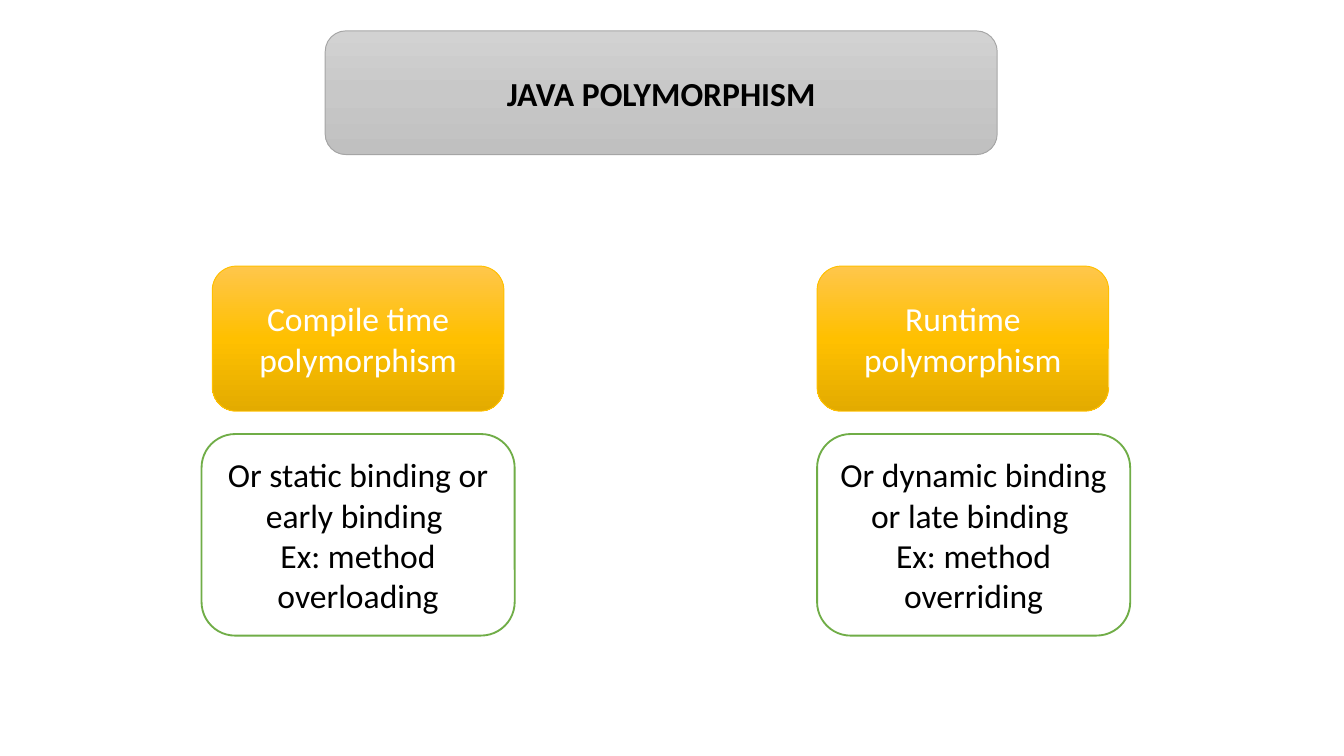
from copy import deepcopy

from pptx import Presentation
from pptx.dml.color import RGBColor
from pptx.enum import shapes, text
from pptx.oxml.ns import qn
from pptx.util import Inches, Pt

COLORS = {
    "black": "000000",
    "white": "FFFFFF",
    "gray": "A5A5A5",
    "gold": "FFC000",
    "green": "70AD47",
}
GRAY_GRADIENT = ["D2D2D2", "C8C8C8", "C0C0C0"]
GOLD_GRADIENT = ["FFC64B", "FFC000", "E3AB00"]

# Heading, heading left, details, details left
BRANCHES = [
    ("Compile time polymorphism", 1.58,
     ["Or static binding or early binding ", "Ex: method overloading"], 1.5),
    ("Runtime polymorphism", 6.08,
     ["Or dynamic binding or late binding ", "Ex: method overriding"], 6.08),
]


def rgb(name):
    return RGBColor.from_string(COLORS[name])


def fill_gradient(box, stops):
    """Fill from top to bottom with evenly spaced colour stops."""
    box.fill.gradient()
    box.fill.gradient_angle = 270
    stop_list = box._element.spPr.find(qn("a:gradFill")).find(qn("a:gsLst"))
    while len(stop_list) < len(stops):
        stop_list.append(deepcopy(stop_list[0]))
    for index, (stop, color) in enumerate(zip(box.fill.gradient_stops, stops)):
        stop.position = index / (len(stops) - 1)
        stop.color.rgb = RGBColor.from_string(color)


def add_box(page, bounds, lines, line_color, font_color, line_width=0.5,
            gradient=None, bold=False):
    """Add a rounded box, white unless a gradient is given."""
    box = page.shapes.add_shape(shapes.MSO_SHAPE.ROUNDED_RECTANGLE,
                                *map(Inches, bounds))
    box.shadow.inherit = False
    if gradient:
        fill_gradient(box, gradient)
    else:
        box.fill.solid()
        box.fill.fore_color.rgb = rgb("white")
    box.line.color.rgb = rgb(line_color)
    box.line.width = Pt(line_width)

    frame = box.text_frame
    frame.word_wrap = True
    frame.vertical_anchor = text.MSO_ANCHOR.MIDDLE
    frame.text = "\n".join(lines)
    for para in frame.paragraphs:
        para.alignment = text.PP_ALIGN.CENTER
        para.font.name = "Calibri"
        para.font.size = Pt(18)
        para.font.bold = bold
        para.font.color.rgb = rgb(font_color)


def main():
    deck = Presentation()
    deck.slide_width = Inches(10)
    deck.slide_height = Inches(10 * 9 / 16)
    page = deck.slides.add_slide(deck.slide_layouts[6])

    add_box(page, (2.42, 0.23, 5, 0.92), ["JAVA POLYMORPHISM"], "gray", "black",
            gradient=GRAY_GRADIENT, bold=True)
    for heading, heading_left, details, details_left in BRANCHES:
        add_box(page, (heading_left, 1.98, 2.17, 1.08), [heading], "gold", "white",
                gradient=GOLD_GRADIENT)
        add_box(page, (details_left, 3.23, 2.33, 1.5), details, "green", "black",
                line_width=1)

    deck.save("out.pptx")


if __name__ == "__main__":
    main()
